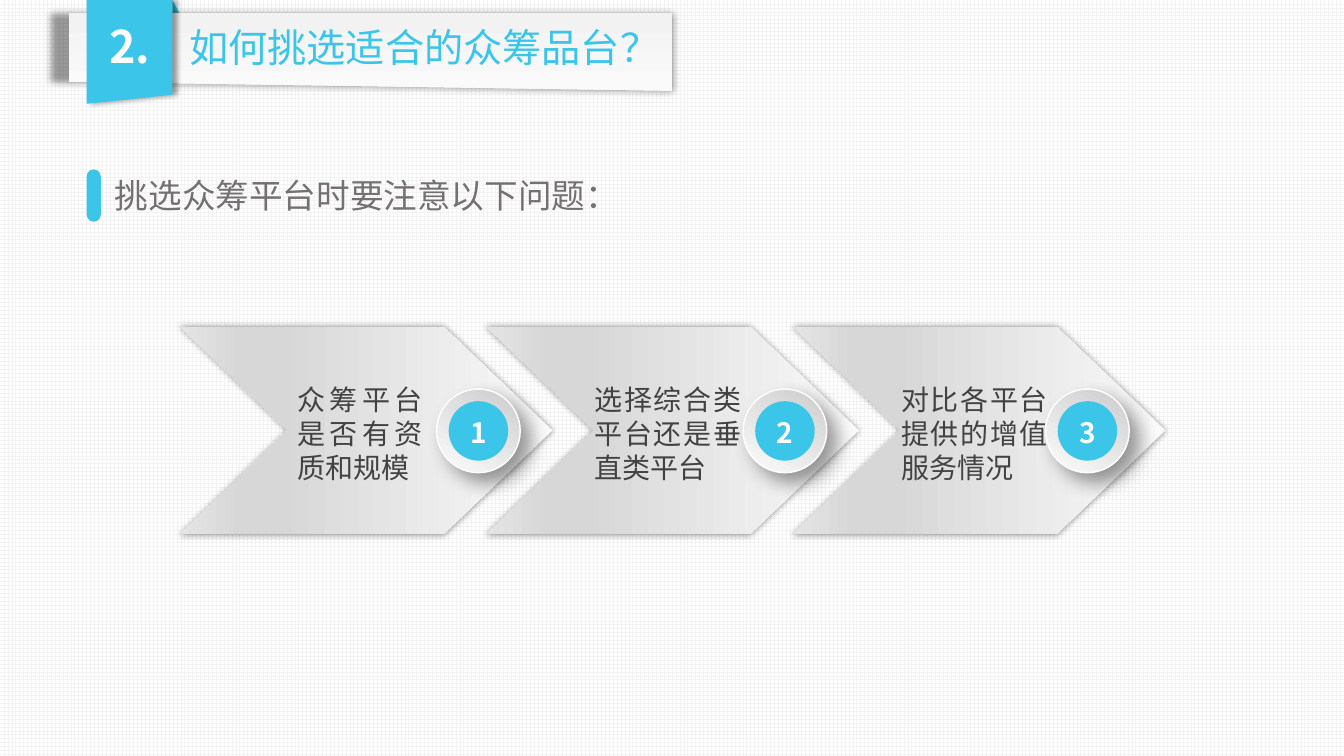
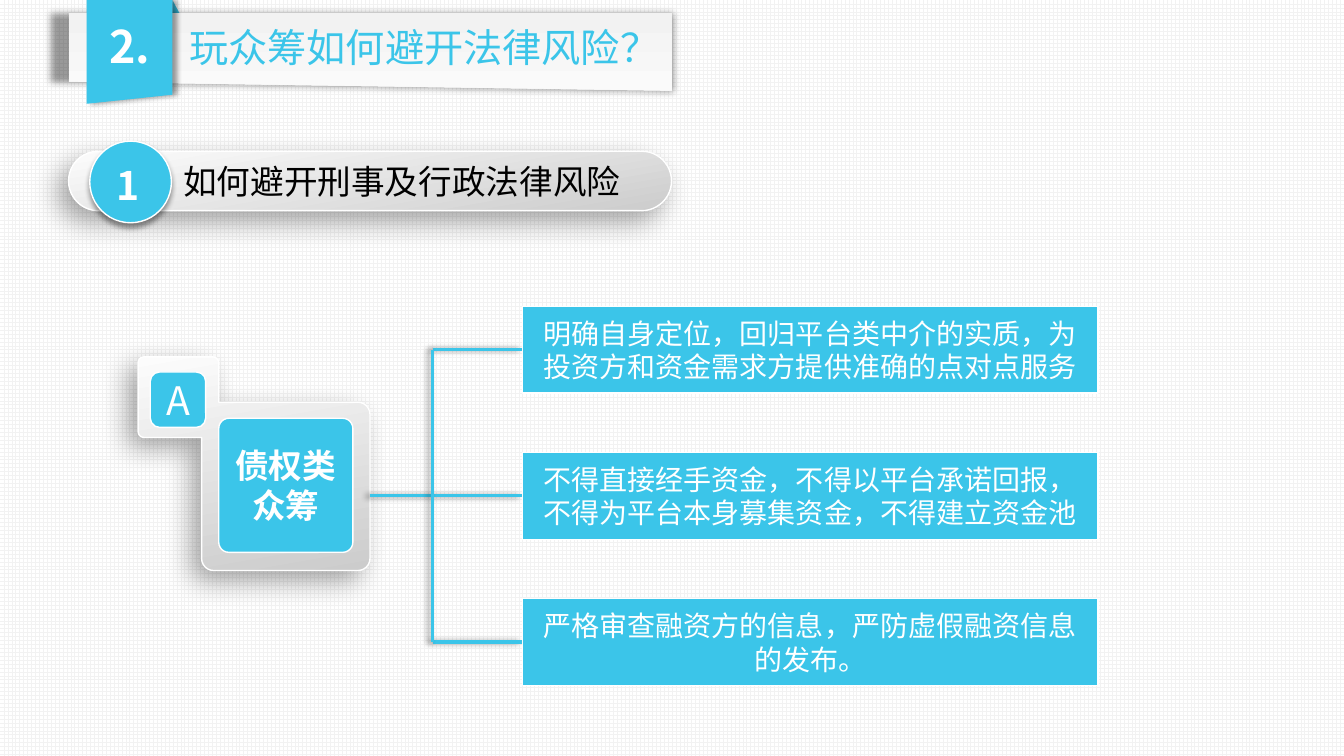
import math

import pptx
import pptx.dml.color
import pptx.enum.dml
import pptx.enum.shapes
import pptx.enum.text
import pptx.oxml.ns
import pptx.util
from lxml import etree

Inches = pptx.util.Inches
Pt = pptx.util.Pt
qn = pptx.oxml.ns.qn
SHAPE = pptx.enum.shapes.MSO_SHAPE
STRAIGHT = pptx.enum.shapes.MSO_CONNECTOR.STRAIGHT
ALIGN = pptx.enum.text.PP_ALIGN
ANCHOR = pptx.enum.text.MSO_ANCHOR
rgb = pptx.dml.color.RGBColor.from_string

FONT = "Noto Sans CJK SC"
BLUE, WHITE, BLACK = "3BC5E9", "FFFFFF", "000000"
GREY, DARK = "767171", "424242"

# Gradients: angle in degrees, then (position, colour) stops
STRIP = (90, [(0, "F2F2F2"), (100, "FAFAFA")])
CHEVRON = (180, [(0, "FAFAFA"), (74, "D7D7D7"), (83, "D7D7D7"), (100, "E4E4E4")])
RING = (120, [(0, "CCCCCC"), (100, "FCFCFC")])
PANEL = (260, [(0, "CCCCCC"), (100, "FCFCFC")])

# Shadows: opacity, blur, distance, direction, horizontal scale
STRIP_SHADOW = (40, 5, 0, 0, 103)
CHEVRON_SHADOW = (40, 5, 0, 0, 100)
RIBBON_SHADOW = (40, 4, 3, 0, 100)
RING_SHADOW = (40, 14, 10, 45, 100)
PANEL_SHADOW = (34, 20, 10, 136, 100)
DISC_SHADOW = (40, 4, 3, 90, 100)
LINE_SHADOW = (40, 4, 3, 180, 100)


def style(shape, fill=None, line=None, weight=1, shadow=None):
    """Set fill (hex or gradient), outline and shadow; return the shape."""
    properties = shape._element.spPr
    if isinstance(fill, str):
        shape.fill.solid()
        shape.fill.fore_color.rgb = rgb(fill)
    elif fill:
        angle, stops = fill
        shape.fill.gradient()
        gradient = properties.find(qn("a:gradFill"))
        gradient.clear()
        gradient.set("rotWithShape", "1")
        stop_list = etree.SubElement(gradient, qn("a:gsLst"))
        for position, color in stops:
            stop = etree.SubElement(stop_list, qn("a:gs"), pos=str(position * 1000))
            etree.SubElement(stop, qn("a:srgbClr"), val=color)
        etree.SubElement(gradient, qn("a:lin"), ang=str(angle * 60000), scaled="0")
    if line:
        shape.line.color.rgb = rgb(line)
        shape.line.width = Pt(weight)
    else:
        shape.line.fill.background()
    effects = etree.SubElement(properties, qn("a:effectLst"))
    if shadow:
        opacity, blur, distance, direction, scale = shadow
        outer = etree.SubElement(
            effects, qn("a:outerShdw"), blurRad=str(Pt(blur)), dist=str(Pt(distance)),
            dir=str(direction * 60000), sx=str(scale * 1000), algn="r", rotWithShape="0")
        color = etree.SubElement(outer, qn("a:srgbClr"), val=BLACK)
        etree.SubElement(color, qn("a:alpha"), val=str(opacity * 1000))
    return shape


def write(shape, text, size=20, color=WHITE, bold=False, align=ALIGN.LEFT, anchor=ANCHOR.TOP):
    """Put one formatted paragraph in a shape or text box."""
    frame = shape.text_frame
    frame.word_wrap = True
    frame.vertical_anchor = anchor
    para = frame.paragraphs[0]
    para.alignment = align
    span = para.add_run()
    span.text = text
    span.font.size = Pt(size)
    span.font.bold = bold
    span.font.color.rgb = rgb(color)
    span.font.name = FONT
    etree.SubElement(span.font._element, qn("a:ea"), typeface=FONT)


deck = pptx.Presentation()
deck.slide_width, deck.slide_height = Inches(13.33), Inches(7.5)

# Shared background and title band
pages = []
for title in ("如何挑选适合的众筹品台？", "玩众筹如何避开法律风险？"):
    page = deck.slides.add_slide(deck.slide_layouts[6])
    pages.append(page)
    backdrop = page.background.fill
    backdrop.patterned()
    backdrop.pattern = pptx.enum.dml.MSO_PATTERN.LARGE_GRID
    backdrop.fore_color.rgb = rgb("F2F2F2")
    backdrop.back_color.rgb = rgb(WHITE)

    fold = page.shapes.add_shape(
        SHAPE.RIGHT_TRIANGLE, Inches(1.71), 0, Inches(0.07), Inches(0.13))
    style(fold, BLUE)
    for points, fill, shadow in (
        ([(6.67, 0.13), (0.68, 0.13), (0.68, 0.81), (6.67, 0.9)], STRIP, STRIP_SHADOW),
        ([(1.71, 0), (1.71, 0.94), (0.86, 1.03), (0.86, 0)], BLUE, RIBBON_SHADOW),
    ):
        corners = [(Inches(x), Inches(y)) for x, y in points]
        outline = page.shapes.build_freeform(*corners[0])
        outline.add_line_segments(corners[1:])
        style(outline.convert_to_shape(), fill, shadow=shadow)

    box = page.shapes.add_textbox(Inches(0.88), Inches(0.14), Inches(0.82), Inches(0.64))
    write(box, "2.", size=32, bold=True, align=ALIGN.CENTER)
    box = page.shapes.add_textbox(Inches(1.78), Inches(0.18), Inches(4.96), Inches(0.57))
    write(box, title, size=28, color=BLUE)

choosing, risks = pages

# Slide 1: lead line with marker
box = choosing.shapes.add_textbox(Inches(1.04), Inches(1.69), Inches(11.25), Inches(0.5))
write(box, "挑选众筹平台时要注意以下问题：", size=24, color=GREY)
marker = choosing.shapes.add_shape(
    SHAPE.ROUNDED_RECTANGLE, Inches(0.86), Inches(1.68), Inches(0.14), Inches(0.52))
marker.adjustments[0] = 0.5
style(marker, BLUE)

# Slide 1: three chevrons
for index in range(3):
    left = 1.78 + 3.04 * index
    points = [(0, 3.24), (2.62, 3.24), (3.7, 4.27), (2.62, 5.3), (0, 5.3), (1.07, 4.27)]
    corners = [(Inches(left + x), Inches(y)) for x, y in points]
    outline = choosing.shapes.build_freeform(*corners[0])
    outline.add_line_segments(corners[1:])
    style(outline.convert_to_shape(), CHEVRON, shadow=CHEVRON_SHADOW)

# Slide 1: numbered badges and questions
questions = [
    (4.33, 2.85, 1.44, "众筹平台是否有资质和规模"),
    (7.37, 5.8, 1.65, "选择综合类平台还是垂直类平台"),
    (10.37, 8.84, 1.65, "对比各平台提供的增值服务情况"),
]
for number, (badge_left, text_left, width, text) in enumerate(questions, 1):
    badge = choosing.shapes.add_group_shape().shapes
    ring = badge.add_shape(
        SHAPE.OVAL, Inches(badge_left), Inches(3.86), Inches(0.83), Inches(0.83))
    style(ring, RING, WHITE, shadow=RING_SHADOW)
    disc = badge.add_shape(
        SHAPE.OVAL, Inches(badge_left + 0.12), Inches(3.98), Inches(0.59), Inches(0.59))
    style(disc, BLUE)
    box = badge.add_textbox(
        Inches(badge_left + 0.14), Inches(4.07), Inches(0.55), Inches(0.44))
    write(box, str(number), bold=True, align=ALIGN.CENTER)
    box = choosing.shapes.add_textbox(
        Inches(text_left), Inches(3.75), Inches(width), Inches(1.11))
    write(box, text, color=DARK, align=ALIGN.JUSTIFY)

# Slide 2: numbered section heading
pill = risks.shapes.add_shape(
    SHAPE.ROUNDED_RECTANGLE, Inches(0.68), Inches(1.5), Inches(5.98), Inches(0.59))
pill.adjustments[0] = 0.5
style(pill, PANEL, WHITE, shadow=PANEL_SHADOW)
badge = risks.shapes.add_group_shape().shapes
disc = badge.add_shape(SHAPE.OVAL, Inches(0.89), Inches(1.4), Inches(0.81), Inches(0.81))
style(disc, BLUE, WHITE, shadow=DISC_SHADOW)
box = badge.add_textbox(Inches(0.86), Inches(1.55), Inches(0.83), Inches(0.57))
write(box, "1", size=28, bold=True, align=ALIGN.CENTER)
box = risks.shapes.add_textbox(Inches(1.72), Inches(1.55), Inches(4.6), Inches(0.5))
write(box, "如何避开刑事及行政法律风险", size=24, color=BLACK)

# Slide 2: stepped panel, each corner an arc (centre x, centre y, radius, start angle)
arcs = [
    (1.43, 3.6, 0.06, 180), (2.11, 3.6, 0.06, 270), (2.17, 3.99, 0, 0),
    (3.55, 4.11, 0.12, 270), (3.55, 5.54, 0.12, 0), (2.12, 5.54, 0.12, 90),
    (2, 4.34, 0, 0), (1.43, 4.28, 0.06, 90),
]
corners = []
for x, y, radius, start in arcs:
    for turn in range(0, 91, 15) if radius else (0,):
        angle = math.radians(start + turn)
        corners.append((Inches(x + radius * math.cos(angle)),
                        Inches(y + radius * math.sin(angle))))
category = risks.shapes.add_group_shape().shapes
outline = category.build_freeform(*corners[0])
outline.add_line_segments(corners[1:])
style(outline.convert_to_shape(), PANEL, WHITE, shadow=PANEL_SHADOW)
for left, top, side, rounding, text, size, bold in (
    (2.17, 4.15, 1.33, 0.075, "债权类众筹", 24, True),
    (1.49, 3.69, 0.55, 0.17, "A", 28, False),
):
    tile = category.add_shape(
        SHAPE.ROUNDED_RECTANGLE, Inches(left), Inches(top), Inches(side), Inches(side))
    tile.adjustments[0] = rounding
    style(tile, BLUE, WHITE)
    write(tile, text, size=size, bold=bold, align=ALIGN.CENTER, anchor=ANCHOR.MIDDLE)

# Slide 2: advice boxes, each joined to the tree
advice = [
    "明确自身定位，回归平台类中介的实质，为投资方和资金需求方提供准确的点对点服务",
    "不得直接经手资金，不得以平台承诺回报，不得为平台本身募集资金，不得建立资金池",
    "严格审查融资方的信息，严防虚假融资信息的发布。",
]
spine_x, first_y, step = 4.29, 3.47, 1.45
for index, text in enumerate(advice):
    middle = first_y + step * index
    panel = risks.shapes.add_shape(
        SHAPE.RECTANGLE, Inches(5.18), Inches(middle - 0.43), Inches(5.71), Inches(0.86))
    style(panel, BLUE, WHITE)
    write(panel, text, align=ALIGN.CENTER, anchor=ANCHOR.MIDDLE)
    branch_x = 3.67 if index == 1 else spine_x
    branch = risks.shapes.add_connector(
        STRAIGHT, Inches(branch_x), Inches(middle), Inches(5.18), Inches(middle))
    branch.end_connect(panel, 1)
    style(branch, line=BLUE, weight=2.25, shadow=LINE_SHADOW)
spine = risks.shapes.add_connector(
    STRAIGHT, Inches(spine_x), Inches(first_y), Inches(spine_x), Inches(first_y + 2 * step))
style(spine, line=BLUE, weight=2.25, shadow=LINE_SHADOW)

deck.save("out.pptx")
